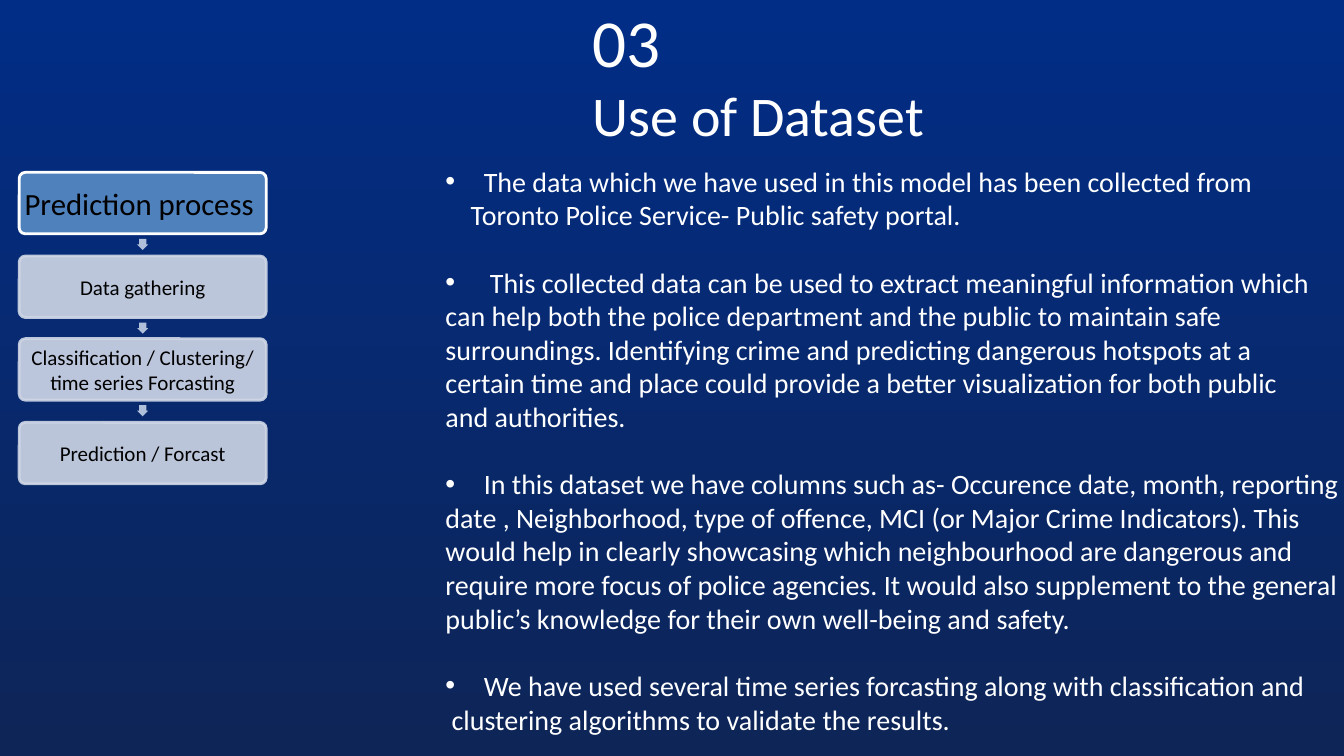
"""Build the "Use of Dataset" slide: a prediction flow beside bulleted notes."""
from dataclasses import dataclass

import lxml.etree
import pptx
import pptx.dml.color
import pptx.enum.shapes
import pptx.enum.text
import pptx.oxml.ns
import pptx.util

RGBColor = pptx.dml.color.RGBColor
WHITE = RGBColor(0xFF, 0xFF, 0xFF)
BLACK = RGBColor(0x00, 0x00, 0x00)
NIGHT_TOP = RGBColor(0x01, 0x2D, 0x86)
NIGHT_BOTTOM = RGBColor(0x0E, 0x25, 0x57)
STEP_BLUE = RGBColor(0x4F, 0x81, 0xBD)
STEP_PALE = RGBColor(0xCF, 0xD7, 0xE7)
ARROW_BLUE = RGBColor(0xB1, 0xC0, 0xDA)

EMU_PER_PX = 9144
FONT = "Calibri"
STEP_LEFT, STEP_TOP, STEP_WIDTH, STEP_HEIGHT = 19, 171, 245, 61
STEP_PITCH = 82.7
ARROW_SIZE, ARROW_OFFSET = 11, 66
BULLET_INDENT = 38


@dataclass
class Step:
    text: str
    size: int = 15
    inset: int = 2
    fill: RGBColor = STEP_PALE
    line: RGBColor = STEP_PALE
    opacity: int = 90


@dataclass
class Line:
    text: str
    bullet: bool = False
    margin: int = 0


STEPS = [
    Step("Prediction process ", 22, 3, STEP_BLUE, WHITE, 100),
    Step("Data gathering"),
    Step("Classification / Clustering/ time series Forcasting"),
    Step("Prediction / Forcast"),
]

NOTES = [
    Line("The data which we have used in this model has been collected from", True, BULLET_INDENT),
    Line("Toronto Police Service- Public safety portal.", margin=25),
    Line("This collected data can be used to extract meaningful information which", True, BULLET_INDENT + 6),
    Line("can help both the police department and the public to maintain safe"),
    Line("surroundings. Identifying crime and predicting dangerous hotspots at a"),
    Line("certain time and place could provide a better visualization for both public"),
    Line("and authorities."),
    Line("In this dataset we have columns such as- Occurence date, month, reporting", True, BULLET_INDENT),
    Line("date , Neighborhood, type of offence, MCI (or Major Crime Indicators). This"),
    Line("would help in clearly showcasing which neighbourhood are dangerous and"),
    Line("require more focus of police agencies. It would also supplement to the general "
         "public’s knowledge for their own well-being and safety."),
    Line("We have used several time series forcasting along with classification and", True, BULLET_INDENT),
    Line("clustering algorithms to validate the results.", margin=6),
]


def px(length: float) -> int:
    """Turn a length in px into EMU."""
    return pptx.util.Emu(round(length) * EMU_PER_PX)


def add_text(para, text: str, *, size: int, color: RGBColor = WHITE) -> None:
    """Append a formatted span to a paragraph."""
    span = para.add_run()
    span.text = text
    span.font.name = FONT
    span.font.size = pptx.util.Pt(size)
    span.font.color.rgb = color


def set_frame(frame, side: int, top: int, anchor) -> None:
    """Set the insets, wrapping and anchor of a text frame."""
    frame.margin_left = frame.margin_right = px(side)
    frame.margin_top = frame.margin_bottom = px(top)
    frame.word_wrap = True
    frame.auto_size = pptx.enum.text.MSO_AUTO_SIZE.NONE
    frame.vertical_anchor = anchor


def set_opacity(shape, percent: int) -> None:
    """Make the solid fill and line of a shape partly transparent."""
    for color in shape._element.spPr.iter(pptx.oxml.ns.qn("a:srgbClr")):
        lxml.etree.SubElement(color, pptx.oxml.ns.qn("a:alpha"), val=str(percent * 1000))


def add_bullet(para) -> None:
    """Give a paragraph a white round bullet."""
    props = para._p.get_or_add_pPr()
    tint = lxml.etree.SubElement(props, pptx.oxml.ns.qn("a:buClr"))
    lxml.etree.SubElement(tint, pptx.oxml.ns.qn("a:srgbClr"), val=str(WHITE))
    lxml.etree.SubElement(props, pptx.oxml.ns.qn("a:buFont"), typeface="Arial")
    lxml.etree.SubElement(props, pptx.oxml.ns.qn("a:buChar"), char="•")


def format_title(title) -> None:
    """Place the title and write its number and heading."""
    title.left, title.top, title.width, title.height = px(577), px(-5), px(873), px(110)
    set_frame(title.text_frame, 11, 5, pptx.enum.text.MSO_ANCHOR.TOP)
    para = title.text_frame.paragraphs[0]
    para.alignment = pptx.enum.text.PP_ALIGN.LEFT
    add_text(para, "03", size=48)
    para.add_line_break()
    add_text(para, "Use of Dataset", size=40)


def add_notes(page, lines: list[Line]) -> None:
    """Write the bulleted notes, with a gap before each later bullet."""
    box = page.shapes.add_textbox(px(432), px(158), px(909), px(582))
    frame = box.text_frame
    set_frame(frame, 10, 5, pptx.enum.text.MSO_ANCHOR.TOP)
    for index, line in enumerate(lines):
        para = frame.add_paragraph() if index else frame.paragraphs[0]
        props = para._p.get_or_add_pPr()
        props.set("marL", str(px(line.margin)))
        props.set("indent", str(px(-line.margin if line.bullet else 0)))
        if line.bullet:
            add_bullet(para)
            if index:
                para.space_before = pptx.util.Pt(24)
        add_text(para, line.text, size=20)


def add_step(page, step: Step, top: float) -> None:
    """Draw one rounded box of the flow."""
    box = page.shapes.add_shape(pptx.enum.shapes.MSO_SHAPE.ROUNDED_RECTANGLE,
                                px(STEP_LEFT), px(top), px(STEP_WIDTH), px(STEP_HEIGHT))
    box.adjustments[0] = 0.1
    box.shadow.inherit = False
    box.fill.solid()
    box.fill.fore_color.rgb = step.fill
    box.line.color.rgb = step.line
    box.line.width = pptx.util.Pt(2)
    if step.opacity < 100:
        set_opacity(box, step.opacity)
    set_frame(box.text_frame, step.inset, step.inset, pptx.enum.text.MSO_ANCHOR.MIDDLE)
    para = box.text_frame.paragraphs[0]
    para.alignment = pptx.enum.text.PP_ALIGN.CENTER
    add_text(para, step.text, size=step.size, color=BLACK)


def add_arrow(page, top: float) -> None:
    """Draw the small arrow that leads down to the next step."""
    left = STEP_LEFT + (STEP_WIDTH - ARROW_SIZE) / 2
    arrow = page.shapes.add_shape(pptx.enum.shapes.MSO_SHAPE.RIGHT_ARROW,
                                  px(left), px(top), px(ARROW_SIZE), px(ARROW_SIZE))
    arrow.rotation = 90
    arrow.adjustments[0] = 0.67
    arrow.shadow.inherit = False
    arrow.fill.solid()
    arrow.fill.fore_color.rgb = ARROW_BLUE
    arrow.line.fill.background()


def main() -> None:
    """Build and save the deck."""
    deck = pptx.Presentation()
    deck.slide_width, deck.slide_height = px(1333), px(750)
    page = deck.slides.add_slide(deck.slide_layouts.get_by_name("Title Only"))
    backdrop = page.background.fill
    backdrop.gradient()
    backdrop.gradient_angle = 270
    for stop, color in zip(backdrop.gradient_stops, (NIGHT_TOP, NIGHT_BOTTOM)):
        stop.color.rgb = color
    format_title(page.shapes.title)
    add_notes(page, NOTES)
    for index, step in enumerate(STEPS):
        top = STEP_TOP + index * STEP_PITCH
        add_step(page, step, top)
        if index < len(STEPS) - 1:
            add_arrow(page, top + ARROW_OFFSET)
    deck.save("out.pptx")


if __name__ == "__main__":
    main()
